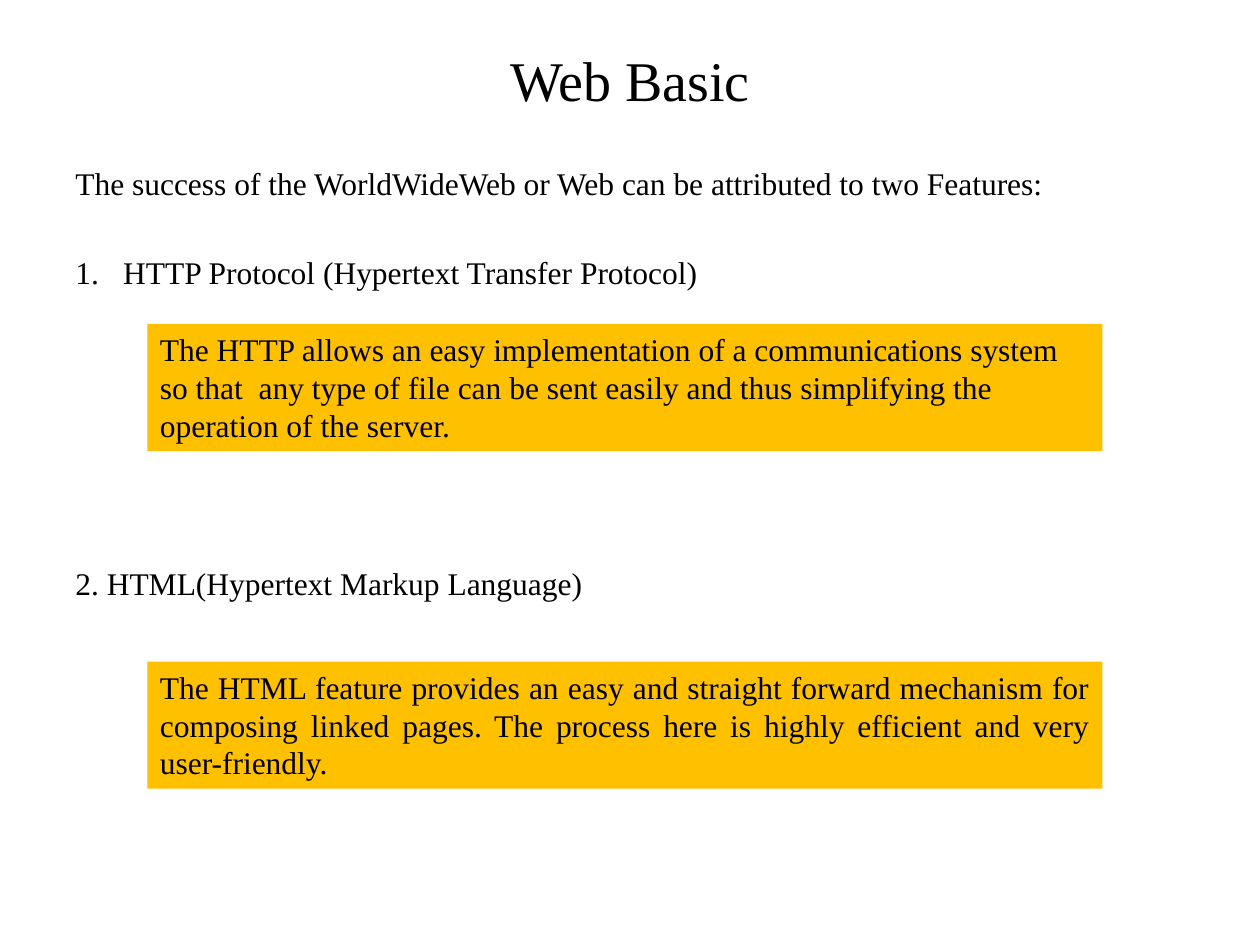
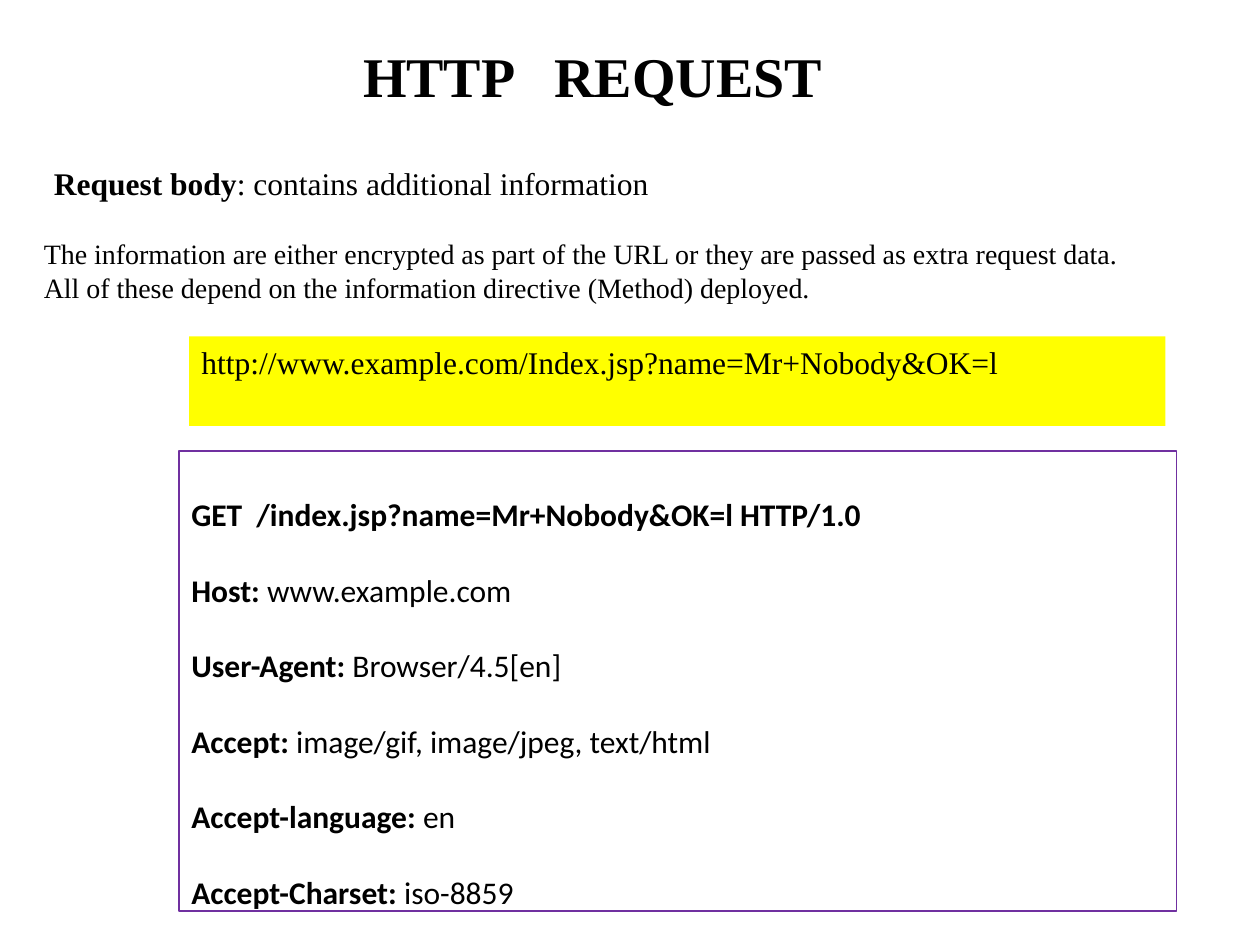
"""Build two slides on the basics of the Web and the HTTP request."""
from lxml import etree
from pptx import Presentation
from pptx.dml.color import RGBColor
from pptx.enum import shapes, text
from pptx.oxml.ns import qn
from pptx.util import Inches, Pt

BLACK = RGBColor(0x00, 0x00, 0x00)
WHITE = RGBColor(0xFF, 0xFF, 0xFF)
AMBER = RGBColor(0xFF, 0xC0, 0x00)
YELLOW = RGBColor(0xFF, 0xFF, 0x00)
PURPLE = RGBColor(0x70, 0x30, 0xA0)
SERIF, SANS = "Times New Roman", "Calibri"
TITLE_SIZE, BODY_SIZE = 32, 18
HANGING = 0.38

CENTER = {"alignment": text.PP_ALIGN.CENTER}
LEFT = {"alignment": text.PP_ALIGN.LEFT}
JUSTIFY = {"alignment": text.PP_ALIGN.JUSTIFY}
DOUBLE = {**LEFT, "line_spacing": 2.0}

FEATURES = [
    ("The success of the WorldWideWeb or Web can be attributed to two Features:", 0, None),
    ("HTTP Protocol (Hypertext Transfer Protocol)", 29.6, "arabicPeriod"),
    ("2. HTML(Hypertext Markup Language)", 155.9, None),
]
EXPLANATIONS = [
    ("The HTTP allows an easy implementation of a communications system so that  any type "
     "of file can be sent easily and thus simplifying the operation of the server.", 2.57, LEFT),
    ("The HTML feature provides an easy and straight forward mechanism for composing linked "
     "pages. The process here is highly efficient and very user-friendly.", 5.25, JUSTIFY),
]
REQUEST_BODY = ("Request body", ": contains additional information")
REQUEST_NOTE = ("The information are either encrypted as part of the URL or they are passed as "
                "extra request data. All of these depend on the information directive (Method) "
                "deployed.")
REQUEST_URL = "http://www.example.com/Index.jsp?name=Mr+Nobody&OK=l"
REQUEST_LINES = [
    ("GET  /index.jsp?name=Mr+Nobody&OK=l HTTP/1.0", ""),
    ("Host: ", "www.example.com"),
    ("User-Agent: ", "Browser/4.5[en]"),
    ("Accept: ", "image/gif, image/jpeg, text/html"),
    ("Accept-language: ", "en"),
    ("Accept-Charset: ", "iso-8859"),
]


def apply(target, values):
    for name, value in values.items():
        setattr(target, name, value)


def add_box(slide, place, lines, layout=LEFT, size=BODY_SIZE, font=SERIF,
            fill=None, line=None, line_width=0.75, anchor=text.MSO_ANCHOR.TOP):
    """Add a box whose lines are (bold part, plain part) pairs; return its paragraphs."""
    area = [Inches(length) for length in place]
    if fill is None and line is None:
        box = slide.shapes.add_textbox(*area)
    else:
        box = slide.shapes.add_shape(shapes.MSO_SHAPE.RECTANGLE, *area)
        box.shadow.inherit = False
        if fill is None:
            box.fill.background()
        else:
            box.fill.solid()
            box.fill.fore_color.rgb = fill
        if line is None:
            box.line.fill.background()
        else:
            box.line.color.rgb = line
            box.line.width = Pt(line_width)
    frame = box.text_frame
    apply(frame, {"word_wrap": True, "vertical_anchor": anchor})
    for index, parts in enumerate(lines):
        paragraph = frame.add_paragraph() if index else frame.paragraphs[0]
        apply(paragraph, layout)
        for words, bold in zip(parts, (True, False)):
            if words:
                run = paragraph.add_run()
                run.text = words
                apply(run.font, {"name": font, "size": Pt(size), "bold": bold})
                run.font.color.rgb = BLACK
    return frame.paragraphs


def add_title(slide, place, parts):
    add_box(slide, place, [parts], CENTER, TITLE_SIZE, anchor=text.MSO_ANCHOR.MIDDLE)


def add_features(slide):
    paragraphs = add_box(slide, (0.5, 1.25, 9, 5.5), [("", words) for words, _, _ in FEATURES],
                         fill=WHITE, line=WHITE, line_width=2)
    for paragraph, (_, gap, numbering) in zip(paragraphs, FEATURES):
        paragraph.space_before = Pt(gap)
        properties = paragraph._p.get_or_add_pPr()
        properties.set("marL", str(Inches(HANGING)))
        properties.set("indent", str(-Inches(HANGING)))
        if numbering:
            etree.SubElement(properties, qn("a:buAutoNum"), type=numbering)


def build_web_basic(slide):
    add_title(slide, (0.5, 0.25, 9, 0.75), ("", "Web Basic"))
    add_features(slide)
    for words, top, layout in EXPLANATIONS:
        add_box(slide, (1.17, top, 7.58, 1.01), [("", words)], layout, fill=AMBER)


def build_http_request(slide):
    add_title(slide, (2.58, 0.28, 4.25, 0.64), ("HTTP   REQUEST", ""))
    add_box(slide, (0.33, 1.25, 8.5, 0.4), [REQUEST_BODY])
    add_box(slide, (0.25, 1.83, 9, 0.64), [("", REQUEST_NOTE)], size=16)
    add_box(slide, (1.5, 2.67, 7.75, 0.71), [("", REQUEST_URL)], fill=YELLOW)
    add_box(slide, (1.42, 3.58, 7.92, 3.65), REQUEST_LINES, DOUBLE, font=SANS, line=PURPLE)


def main():
    deck = Presentation()
    apply(deck, {"slide_width": Inches(10), "slide_height": Inches(7.5)})
    for build in (build_web_basic, build_http_request):
        build(deck.slides.add_slide(deck.slide_layouts[6]))
    deck.save("out.pptx")


if __name__ == "__main__":
    main()
